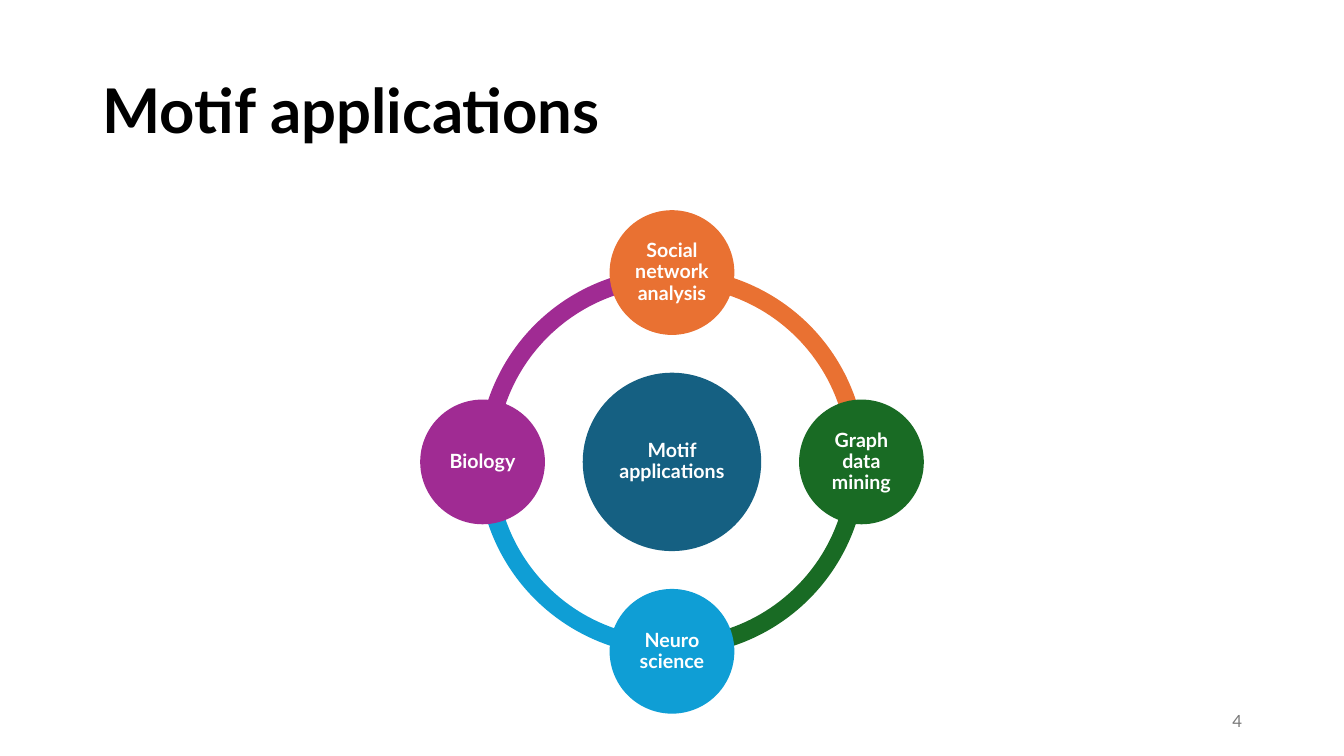
from dataclasses import dataclass
from math import cos, radians, sin

from pptx import Presentation
from pptx.dml.color import RGBColor
from pptx.enum.shapes import MSO_SHAPE
from pptx.enum.text import MSO_ANCHOR, PP_ALIGN
from pptx.shapes.autoshape import Shape
from pptx.util import Inches, Pt

OVAL, ARC = MSO_SHAPE.OVAL, MSO_SHAPE.BLOCK_ARC
LEFT, CENTER, RIGHT = PP_ALIGN.LEFT, PP_ALIGN.CENTER, PP_ALIGN.RIGHT
MIDDLE = MSO_ANCHOR.MIDDLE

BLACK = RGBColor(0x00, 0x00, 0x00)
WHITE = RGBColor(0xFF, 0xFF, 0xFF)
GRAY = RGBColor(0x79, 0x79, 0x79)
NAVY = RGBColor(0x15, 0x60, 0x82)
ORANGE = RGBColor(0xE9, 0x71, 0x32)
GREEN = RGBColor(0x19, 0x6B, 0x24)
BLUE = RGBColor(0x0F, 0x9E, 0xD5)
PURPLE = RGBColor(0xA0, 0x2B, 0x93)

FONT = "Lato"
WIDTH, HEIGHT = Inches(13.33), Inches(7.5)
COL, ROW = WIDTH / 100, HEIGHT / 100  # the slide is a grid of 100 by 100

# Diagram: middle of the hub, then sizes in rows
MID_X, MID_Y = 50 * COL, 61.1 * ROW
ORBIT = 25.05 * ROW
RING, HUB, NODE = 51.3 * ROW, 23.6 * ROW, 16.5 * ROW
BAND = 0.046  # ring thickness as a share of its size
ADJUST = 0.6  # block arc adjustment units per degree


@dataclass
class Topic:
    label: str
    color: RGBColor


TOPICS = [
    Topic("Social network analysis", ORANGE),
    Topic("Graph data mining", GREEN),
    Topic("Neuro science", BLUE),
    Topic("Biology", PURPLE),
]
STEP = 360 / len(TOPICS)


def write(shape: Shape, text: str, *, size: float, color: RGBColor,
          bold: bool = False, align: PP_ALIGN = LEFT, line: float = 1.0,
          inset: float | None = None) -> None:
    frame = shape.text_frame
    frame.word_wrap = True
    frame.vertical_anchor = MIDDLE
    if inset is not None:
        frame.margin_left = frame.margin_right = Inches(inset)
        frame.margin_top = frame.margin_bottom = Inches(inset)
    para = frame.paragraphs[0]
    para.alignment, para.line_spacing = align, line
    run = para.add_run()
    run.text = text
    font = run.font
    font.name, font.size, font.bold = FONT, Pt(size), bold
    font.color.rgb = color


def box(shapes, left: float, top: float, wide: float, high: float) -> Shape:
    """Add a text box placed in columns and rows."""
    return shapes.add_textbox(round(left * COL), round(top * ROW),
                              round(wide * COL), round(high * ROW))


def round_shape(shapes, kind: MSO_SHAPE, x: float, y: float, size: float,
                color: RGBColor) -> Shape:
    """Add a plain filled shape centred on x, y."""
    shape = shapes.add_shape(kind, round(x - size / 2), round(y - size / 2),
                             round(size), round(size))
    shape.shadow.inherit = False
    shape.fill.solid()
    shape.fill.fore_color.rgb = color
    shape.line.fill.background()
    return shape


def disc(shapes, x: float, y: float, size: float, topic: Topic) -> None:
    shape = round_shape(shapes, OVAL, x, y, size, topic.color)
    write(shape, topic.label, size=14, color=WHITE, bold=True,
          align=CENTER, line=0.9, inset=0.02)


def wheel(shapes) -> None:
    """Draw the ring, the hub and the topics, clockwise from the top."""
    spots = [((270 + i * STEP) % 360, topic) for i, topic in enumerate(TOPICS)]
    for angle, topic in reversed(spots):
        arc = round_shape(shapes, ARC, MID_X, MID_Y, RING, topic.color)
        arc.adjustments[0] = angle * ADJUST
        arc.adjustments[1] = (angle + STEP) % 360 * ADJUST
        arc.adjustments[2] = BAND
    disc(shapes, MID_X, MID_Y, HUB, Topic("Motif applications", NAVY))
    for angle, topic in spots:
        turn = radians(angle)
        disc(shapes, MID_X + ORBIT * cos(turn), MID_Y + ORBIT * sin(turn),
             NODE, topic)


def main() -> None:
    deck = Presentation()
    deck.slide_width, deck.slide_height = WIDTH, HEIGHT
    shapes = deck.slides.add_slide(deck.slide_layouts[6]).shapes
    title = box(shapes, 6.9, 5.3, 86.2, 19.3)
    write(title, "Motif applications", size=44, color=BLACK, bold=True, line=0.9)
    wheel(shapes)
    number = box(shapes, 70.65, 92.7, 22.5, 5.3)
    write(number, "4", size=12, color=GRAY, align=RIGHT)
    deck.save("out.pptx")


if __name__ == "__main__":
    main()
